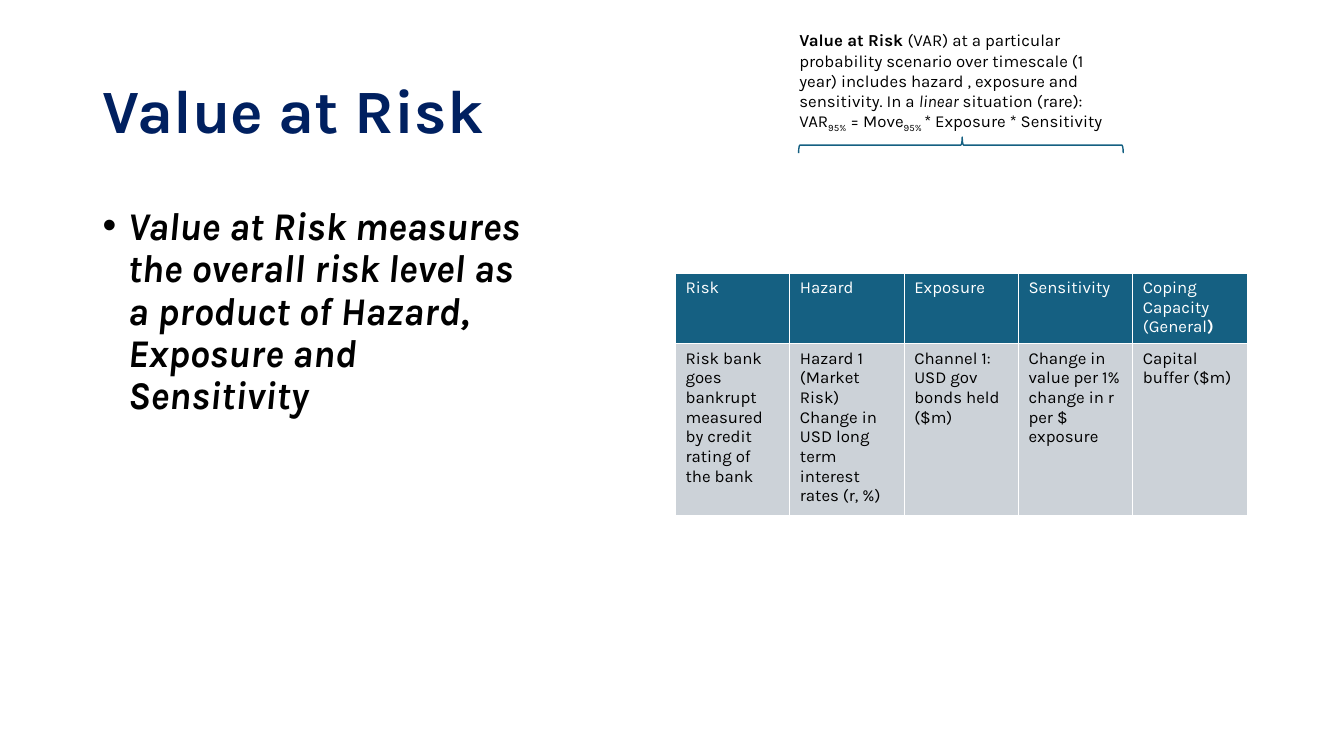
import pptx
import pptx.util
import pptx.dml.color
import pptx.enum.shapes
import pptx.enum.text
import pptx.oxml
import pptx.oxml.ns
import lxml.etree

Inches, Pt = pptx.util.Inches, pptx.util.Pt
qn = pptx.oxml.ns.qn

FONT = "Karla"
COLORS = {"title": "002060", "text": "000000", "teal": "156082",
          "cell": "CCD2D8", "white": "FFFFFF"}

# Each paragraph is a list of (text, style) runs.
TITLE = [[("Value at Risk", "b")]]
BODY = [[("Value at Risk measures the overall risk level as a product of "
          "Hazard, Exposure and Sensitivity", "bi")]]
FORMULA = [
    [("Value at Risk ", "b"),
     ("(VAR) at a particular probability scenario over timescale (1 year) "
      "includes hazard , exposure and sensitivity. In a ", ""),
     ("linear", "i"), (" situation (rare):", "")],
    [("VAR", ""), ("95%", "sub"), (" = Move", ""), ("95% ", "sub"),
     ("* Exposure * Sensitivity", "")],
]
RISK_TABLE = [
    [[("Risk", "")], [("Hazard", "")], [("Exposure", "")], [("Sensitivity", "")],
     [("Coping Capacity (General", ""), (")", "b")]],
    [[("Risk bank goes bankrupt measured by credit rating of the bank", "")],
     [("Hazard 1 (Market Risk) Change in USD long term interest rates (r, %)", "")],
     [("Channel 1: USD gov bonds held ($m)", "")],
     [("Change in value per 1% change in r per $ exposure", "")],
     [("Capital buffer ($m)", "")]],
]
ROW_STYLES = [("teal", "white", 0.68), ("cell", "text", 1.65)]  # fill, text, height


def rgb(name):
    return pptx.dml.color.RGBColor.from_string(COLORS[name])


def write(tf, paragraphs, size, color):
    for i, runs in enumerate(paragraphs):
        p = tf.paragraphs[0] if i == 0 else tf.add_paragraph()
        for text, style in runs:
            r = p.add_run()
            r.text = text
            r.font.name, r.font.size = FONT, Pt(size)
            r.font.color.rgb = rgb(color)
            r.font.bold = style in ("b", "bi")
            r.font.italic = style in ("i", "bi")
            if style == "sub":
                r.font._element.set("baseline", "-25000")


def add_text(slide, box, paragraphs, size, color):
    tf = slide.shapes.add_textbox(*map(Inches, box)).text_frame
    tf.word_wrap = True
    write(tf, paragraphs, size, color)
    return tf


def add_bullet(p, indent):
    pPr = p._p.get_or_add_pPr()
    pPr.set("marL", str(Inches(indent)))
    pPr.set("indent", str(-Inches(indent)))
    lxml.etree.SubElement(pPr, qn("a:buFont")).set("typeface", "Arial")
    lxml.etree.SubElement(pPr, qn("a:buChar")).set("char", "•")


def set_borders(cell):
    tcPr = cell._tc.get_or_add_tcPr()
    for i, side in enumerate(("lnL", "lnR", "lnT", "lnB")):
        ln = pptx.oxml.parse_xml(
            '<a:%s xmlns:a="http://schemas.openxmlformats.org/drawingml/2006/main" w="%d">'
            '<a:solidFill><a:srgbClr val="%s"/></a:solidFill></a:%s>'
            % (side, Pt(1), COLORS["white"], side))
        tcPr.insert(i, ln)


def add_risk_table(slide):
    left, top, width = 6.7, 2.71, 5.67
    n_rows, n_cols = len(RISK_TABLE), len(RISK_TABLE[0])
    height = sum(h for _, _, h in ROW_STYLES)
    table = slide.shapes.add_table(
        n_rows, n_cols, *map(Inches, (left, top, width, height))).table
    for i, (fill, color, row_height) in enumerate(ROW_STYLES):
        table.rows[i].height = Inches(row_height)
        for j, runs in enumerate(RISK_TABLE[i]):
            cell = table.cell(i, j)
            cell.fill.solid()
            cell.fill.fore_color.rgb = rgb(fill)
            set_borders(cell)
            write(cell.text_frame, [runs], 12, color)


def add_brace(slide):
    sp = slide.shapes.add_shape(pptx.enum.shapes.MSO_SHAPE.LEFT_BRACE,
                                *map(Inches, (9.45, -0.17, 0.16, 3.22)))
    sp.rotation = 90
    sp.adjustments[0], sp.adjustments[1] = 0.083, 0.496
    sp.shadow.inherit = False
    sp.fill.background()
    sp.line.color.rgb = rgb("teal")
    sp.line.width = Pt(1)


def main():
    prs = pptx.Presentation()
    prs.slide_width, prs.slide_height = Inches(13.33), Inches(7.5)
    slide = prs.slides.add_slide(prs.slide_layouts[6])

    title = add_text(slide, (0.92, 0.4, 11.5, 1.45), TITLE, 44, "title")
    title.vertical_anchor = pptx.enum.text.MSO_ANCHOR.MIDDLE
    body = add_text(slide, (0.92, 2, 4.4, 4.76), BODY, 28, "text")
    add_bullet(body.paragraphs[0], 0.25)
    for tf in (title, body):
        tf.paragraphs[0].line_spacing = 0.9

    add_risk_table(slide)
    add_brace(slide)
    add_text(slide, (7.83, 0.25, 3.41, 1.11), FORMULA, 12, "text")
    prs.save("out.pptx")


if __name__ == "__main__":
    main()
